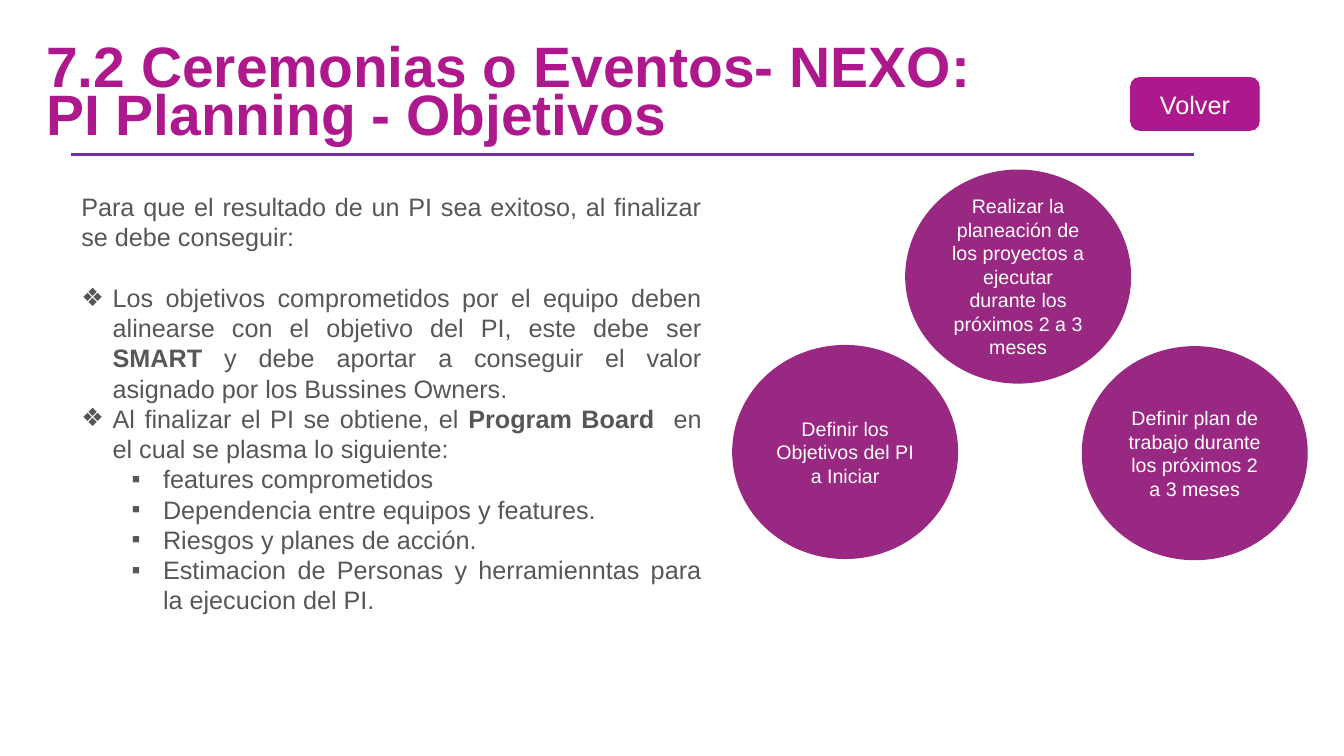
from dataclasses import dataclass

from lxml import etree
from pptx import Presentation
from pptx.dml.color import RGBColor
from pptx.enum.shapes import MSO_CONNECTOR, MSO_SHAPE
from pptx.enum.text import MSO_ANCHOR, MSO_AUTO_SIZE, PP_ALIGN
from pptx.oxml.ns import qn
from pptx.util import Cm, Pt

LEFT, CENTER, JUSTIFY = PP_ALIGN.LEFT, PP_ALIGN.CENTER, PP_ALIGN.JUSTIFY
MIDDLE, TOP = MSO_ANCHOR.MIDDLE, MSO_ANCHOR.TOP
OVAL, ROUNDED = MSO_SHAPE.OVAL, MSO_SHAPE.ROUNDED_RECTANGLE
STRAIGHT = MSO_CONNECTOR.STRAIGHT
TITLE_ONLY = 5


@dataclass(frozen=True)
class Theme:
    font: str = "Arial"
    magenta: RGBColor = RGBColor(0xAD, 0x19, 0x8D)
    plum: RGBColor = RGBColor(0x98, 0x28, 0x81)
    purple: RGBColor = RGBColor(0x70, 0x30, 0xA0)
    gray: RGBColor = RGBColor(0x57, 0x57, 0x56)
    white: RGBColor = RGBColor(0xFF, 0xFF, 0xFF)
    title_size: Pt = Pt(40.7)
    body_size: Pt = Pt(18)
    circle_size: Pt = Pt(14)


theme = Theme()


def write(frame, text, *, size, color, align, bold=False, spacing=None,
          after=None, bullet=None, level=0):
    """Add a paragraph to the frame; words between asterisks become bold."""
    first = frame.paragraphs[0]
    para = frame.add_paragraph() if first.runs else first
    para.alignment = align
    para.level = level
    para.space_before = Pt(0)
    para.space_after = after or Pt(0)
    if spacing:
        para.line_spacing = spacing
    if bullet:
        properties = para._p.get_or_add_pPr()
        properties.set("marL", str(Cm(0.79 + 1.27 * level)))
        properties.set("indent", str(-Cm(0.79)))
        etree.SubElement(properties, qn("a:buFont"), typeface=theme.font)
        etree.SubElement(properties, qn("a:buChar"), char=bullet)
    for index, part in enumerate(text.split("*")):
        span = para.add_run()
        span.text = part
        span.font.name = theme.font
        span.font.size = size
        span.font.color.rgb = color
        span.font.bold = bold or index % 2 == 1


def add_label(kind, left, top, width, height, text, *, fill, size):
    """Add a filled shape with centred white text."""
    shape = page.shapes.add_shape(kind, Cm(left), Cm(top), Cm(width), Cm(height))
    shape.shadow.inherit = False
    shape.fill.solid()
    shape.fill.fore_color.rgb = fill
    shape.line.color.rgb = fill
    shape.line.width = Pt(1)
    shape.text_frame.word_wrap = True
    shape.text_frame.vertical_anchor = MIDDLE
    write(shape.text_frame, text, size=size, color=theme.white, align=CENTER)


deck = Presentation()
deck.slide_width, deck.slide_height = Cm(33.87), Cm(19.05)
page = deck.slides.add_slide(deck.slide_layouts[TITLE_ONLY])

# Title
title = page.shapes.title
title.left, title.top = Cm(0.91), Cm(1.02)
title.width, title.height = Cm(29.62), Cm(2.87)
title.text_frame.word_wrap = True
title.text_frame.auto_size = MSO_AUTO_SIZE.NONE
title.text_frame.vertical_anchor = MIDDLE
for line in ("7.2 Ceremonias o Eventos- NEXO:", "PI Planning - Objetivos"):
    write(title.text_frame, line, size=theme.title_size, color=theme.magenta,
          align=LEFT, bold=True, spacing=0.7)

# Explanation
body = page.shapes.add_textbox(Cm(1.8), Cm(4.7), Cm(16.13), Cm(11.79)).text_frame
body.word_wrap = True
body.auto_size = MSO_AUTO_SIZE.SHAPE_TO_FIT_TEXT
body.vertical_anchor = TOP
body_format = {"size": theme.body_size, "color": theme.gray, "align": JUSTIFY}
write(body, "Para que el resultado de un PI sea exitoso, al finalizar se debe conseguir:",
      after=Pt(21.6), **body_format)
for goal in (
    "Los objetivos comprometidos por el equipo deben alinearse con el objetivo del PI, "
    "este debe ser *SMART* y debe aportar a conseguir el valor asignado por los "
    "Bussines Owners.",
    "Al finalizar el PI se obtiene, el *Program Board * en el cual se plasma lo siguiente:",
):
    write(body, goal, bullet="❖", **body_format)
for content in (
    "features comprometidos",
    "Dependencia entre equipos y features.",
    "Riesgos y planes de acción.",
    "Estimacion de Personas y herramienntas para la ejecucion del PI.",
):
    write(body, content, bullet="▪", level=1, **body_format)

# Rule under the title
rule = page.shapes.add_connector(STRAIGHT, Cm(1.8), Cm(3.89), Cm(30.1), Cm(3.89))
rule.line.color.rgb = theme.purple
rule.line.width = Pt(2.25)
etree.SubElement(rule._element.spPr, qn("a:effectLst"))

# Back button and the three goals
add_label(ROUNDED, 28.5, 1.96, 3.23, 1.32, "Volver",
          fill=theme.magenta, size=theme.body_size)
for left, top, text in (
    (22.83, 4.29, "Realizar la planeación de los proyectos a ejecutar durante los "
                  "próximos 2 a 3 meses"),
    (18.47, 8.71, "Definir los Objetivos del PI a Iniciar"),
    (27.28, 8.74, "Definir plan de trabajo durante los próximos 2 a 3 meses"),
):
    add_label(OVAL, left, top, 5.66, 5.36, text, fill=theme.plum, size=theme.circle_size)

deck.save("out.pptx")
